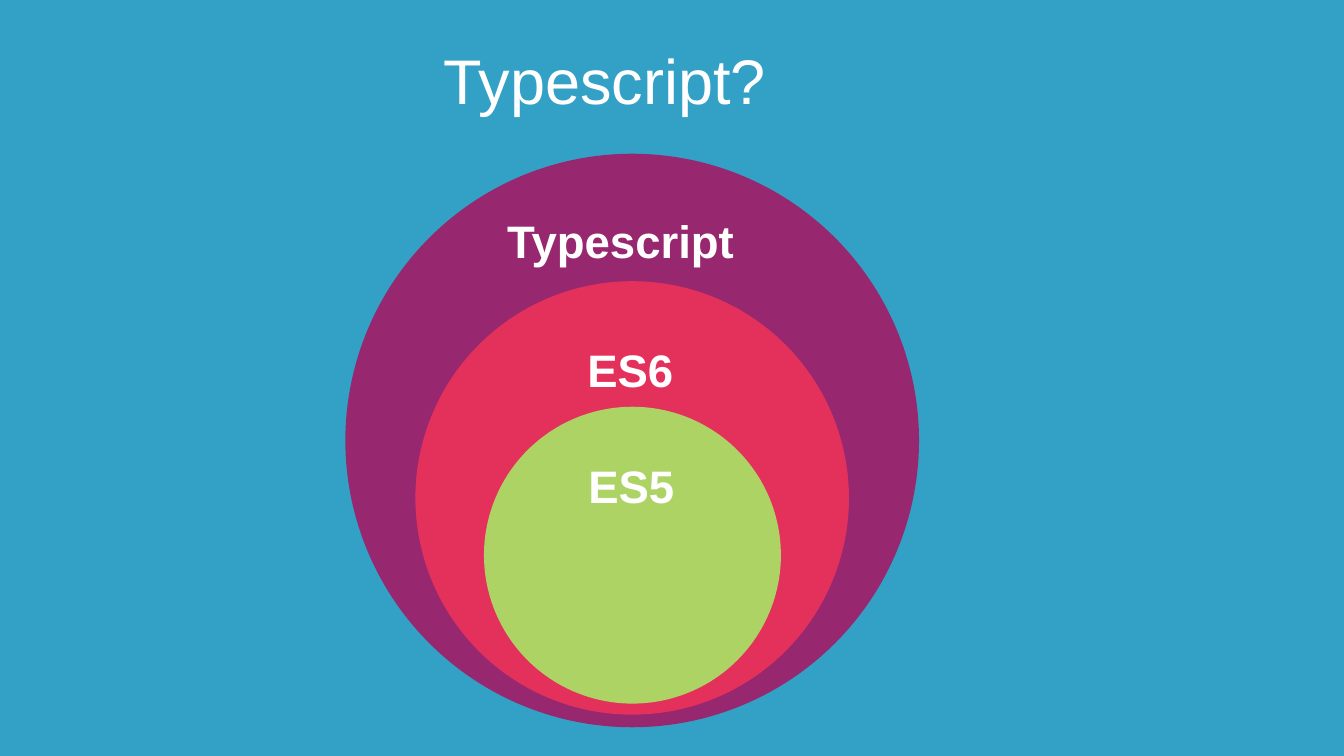
"""Build a slide of nested circles placing ES5 within ES6 within Typescript."""
import pptx
import pptx.util
import pptx.dml.color
import pptx.enum.shapes
import pptx.enum.text

RGB = pptx.dml.color.RGBColor
BLUE = RGB(0x33, 0xA1, 0xC5)
PLUM = RGB(0x97, 0x28, 0x6F)
RED = RGB(0xE4, 0x31, 0x5C)
GREEN = RGB(0xAC, 0xD3, 0x64)
WHITE = RGB(0xFF, 0xFF, 0xFF)
PX = 9144
PAD = 6
ANCHOR = pptx.enum.text.MSO_ANCHOR
FIT = pptx.enum.text.MSO_AUTO_SIZE


def put(shape, text, size, bold=False, wrap=True, fit=FIT.NONE,
        anchor=ANCHOR.MIDDLE, space=1.0):
    frame = shape.text_frame
    frame.margin_left = frame.margin_right = PAD * PX
    frame.margin_top = frame.margin_bottom = PAD * PX
    frame.word_wrap = wrap
    frame.auto_size = fit
    frame.vertical_anchor = anchor
    line = frame.paragraphs[0]
    line.alignment = pptx.enum.text.PP_ALIGN.LEFT
    line.line_spacing = space
    run = line.add_run()
    run.text = text
    run.font.name = "Arial"
    run.font.size = pptx.util.Pt(size)
    run.font.bold = bold
    run.font.color.rgb = WHITE


deck = pptx.Presentation()
deck.slide_width = 2666 * PX
deck.slide_height = 1500 * PX
slide = deck.slides.add_slide(deck.slide_layouts[5])
slide.background.fill.solid()
slide.background.fill.fore_color.rgb = BLUE

title = slide.shapes.title
title.left, title.top, title.width, title.height = (
    n * PX for n in (874, 77, 802, 162))
put(title, "Typescript?", 90, anchor=ANCHOR.BOTTOM)

MID = 1254
for top, size, color in ((305, 1138, PLUM), (558, 860, RED), (807, 589, GREEN)):
    ring = slide.shapes.add_shape(
        pptx.enum.shapes.MSO_SHAPE.OVAL,
        (MID - size // 2) * PX, top * PX, size * PX, size * PX)
    ring.shadow.inherit = False
    ring.fill.solid()
    ring.fill.fore_color.rgb = color
    ring.line.fill.background()

for text, left, top, width in (("Typescript", 1000, 363, 468),
                               ("ES6", 1159, 619, 186),
                               ("ES5", 1161, 848, 186)):
    label = slide.shapes.add_textbox(left * PX, top * PX, width * PX, 174 * PX)
    put(label, text, 65, bold=True, wrap=False,
        fit=FIT.SHAPE_TO_FIT_TEXT, space=1.5)

deck.save("out.pptx")
